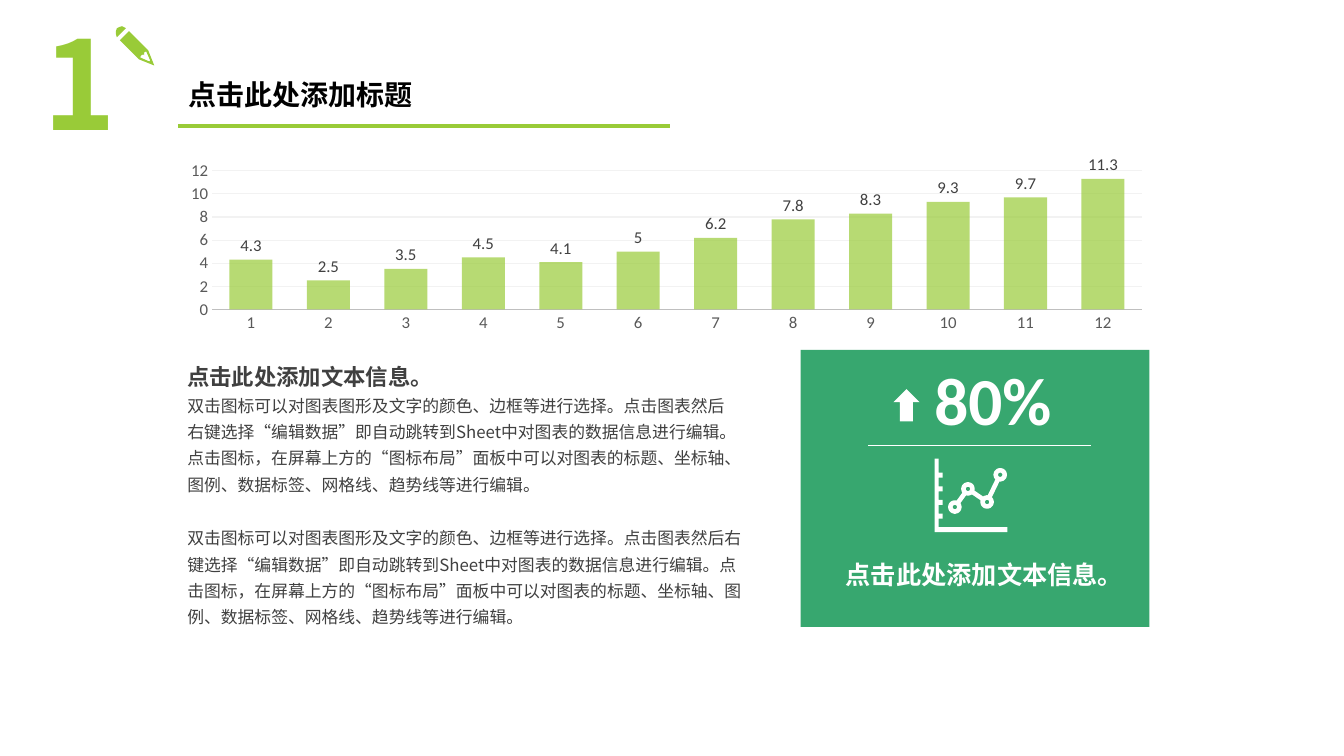
import pptx
import pptx.chart.data
import pptx.dml.color
import pptx.enum.chart
import pptx.enum.shapes
import pptx.enum.text
import pptx.oxml
import pptx.oxml.ns
import pptx.util
from pptx.util import Inches

RGBColor = pptx.dml.color.RGBColor
LIME = RGBColor(0x99, 0xCB, 0x38)
GREEN = RGBColor(0x37, 0xA7, 0x6F)
WHITE = RGBColor(0xFF, 0xFF, 0xFF)
BLACK = RGBColor(0, 0, 0)
TEXT_GREY = RGBColor(0x40, 0x40, 0x40)
AXIS_GREY = RGBColor(0x59, 0x59, 0x59)
AXIS_LINE = RGBColor(0xBF, 0xBF, 0xBF)
GRID_GREY = RGBColor(0xF2, 0xF2, 0xF2)
CJK = "Noto Sans CJK SC"
LATIN = "Calibri"
SHAPES = pptx.enum.shapes.MSO_SHAPE
MIDDLE = pptx.enum.text.MSO_ANCHOR.MIDDLE
BODY = ("双击图标可以对图表图形及文字的颜色、边框等进行选择。点击图表然后右键选择“编辑数据”"
        "即自动跳转到Sheet中对图表的数据信息进行编辑。点击图标，在屏幕上方的“图标布局”面板中"
        "可以对图表的标题、坐标轴、图例、数据标签、网格线、趋势线等进行编辑。")

deck = pptx.Presentation()
deck.slide_width, deck.slide_height = Inches(13.33), Inches(7.5)
page = deck.slides.add_slide(deck.slide_layouts[5])


def write(box, place, lines, font_name=CJK, wrap=True, anchor=None):
    """Place a box and fill it with (text, size, bold, colour, line spacing) lines."""
    box.left, box.top, box.width, box.height = map(Inches, place)
    frame = box.text_frame
    frame.word_wrap = wrap
    frame.vertical_anchor = anchor or pptx.enum.text.MSO_ANCHOR.TOP
    for index, (text, size, bold, colour, spacing) in enumerate(lines):
        para = frame.add_paragraph() if index else frame.paragraphs[0]
        para.text = text
        para.alignment = pptx.enum.text.PP_ALIGN.LEFT
        para.line_spacing = spacing
        for font in [para.font] + [span.font for span in para.runs]:
            font.name = font_name
        para.font.size, para.font.bold = pptx.util.Pt(size), bold
        para.font.color.rgb = colour
        for span in para.runs:
            east_asian = pptx.oxml.parse_xml(
                f'<a:ea {pptx.oxml.ns.nsdecls("a")} typeface="{font_name}"/>')
            span.font._element.append(east_asian)


def draw_line(start, end, colour, width):
    line = page.shapes.add_connector(
        pptx.enum.shapes.MSO_CONNECTOR.STRAIGHT, *map(Inches, start + end))
    line.line.color.rgb, line.line.width = colour, pptx.util.Pt(width)
    line._element.spPr.append(
        pptx.oxml.parse_xml(f'<a:effectLst {pptx.oxml.ns.nsdecls("a")}/>'))


# Heading with number and rule
draw_line((1.77, 1.25), (6.65, 1.25), LIME, 2.25)
write(page.shapes.title, (1.77, 0.67, 4.88, 0.58),
      [("点击此处添加标题", 20, True, BLACK, 0.9)], anchor=MIDDLE)
write(page.shapes.add_textbox(0, 0, 0, 0), (0.33, 0.26, 0.97, 1.27),
      [("1", 88, True, LIME, 0.9)], anchor=MIDDLE)

# Pencil and the axes of the trend icon
pencil_end = [(1.16, 0.37), (1.15, 0.34), (1.15, 0.31), (1.16, 0.28),
              (1.18, 0.27), (1.21, 0.26), (1.23, 0.27), (1.25, 0.28)]
pencil_body = [(1.38, 0.59), (1.53, 0.65), (1.47, 0.5), (1.28, 0.31), (1.19, 0.4)]
pencil_tip = [(1.4, 0.55), (1.42, 0.54), (1.43, 0.55), (1.43, 0.52), (1.45, 0.51),
              (1.49, 0.6), (1.48, 0.61), (1.39, 0.57)]
axes = [(9.31, 5.23), (9.99, 5.23), (9.99, 5.28), (9.27, 5.28), (9.27, 4.55), (9.31, 4.55)]
for tick in range(4):
    top = 4.69 + tick * 0.135
    axes += [(9.31, top), (9.35, top), (9.35, top + 0.05), (9.31, top + 0.05)]

# Green panel, arrow and divider
for kind, place, colour, turn in [
        (SHAPES.RECTANGLE, (7.94, 3.47, 3.46, 2.75), GREEN, 0),
        (SHAPES.DOWN_ARROW, (8.86, 3.86, 0.26, 0.32), WHITE, 180)]:
    shape = page.shapes.add_shape(kind, *map(Inches, place))
    shape.fill.solid()
    shape.fill.fore_color.rgb = colour
    shape.line.fill.background()
    shape.shadow.inherit = False
    shape.rotation = turn
draw_line((8.61, 4.42), (10.82, 4.42), WHITE, 1.25)

for contours, colour in [([pencil_end], LIME), ([pencil_body, pencil_tip], LIME),
                         ([axes], WHITE)]:
    builder = None
    for contour in contours:
        points = [(Inches(x), Inches(y)) for x, y in contour]
        if builder is None:
            builder = page.shapes.build_freeform(*points[0])
        else:
            builder.move_to(*points[0])
        builder.add_line_segments(points[1:], close=True)
    outline = builder.convert_to_shape()
    outline.fill.solid()
    outline.fill.fore_color.rgb = colour
    outline.line.fill.background()
    outline.shadow.inherit = False

# Trend line with ring markers
nodes = [(9.47, 5.03), (9.6, 4.85), (9.79, 4.98), (9.92, 4.71)]
for start, end in zip(nodes, nodes[1:]):
    draw_line(start, end, WHITE, 3.25)
for x, y in nodes:
    ring = page.shapes.add_shape(
        SHAPES.OVAL, Inches(x - 0.045), Inches(y - 0.045), Inches(0.09), Inches(0.09))
    ring.fill.solid()
    ring.fill.fore_color.rgb = GREEN
    ring.line.color.rgb, ring.line.width = WHITE, pptx.util.Pt(3.25)
    ring.shadow.inherit = False

# Text blocks
for place, lines, font_name, wrap in [
        ((1.76, 3.47, 5.56, 1.5), [("点击此处添加文本信息。", 16, True, TEXT_GREY, 1.3),
                                   (BODY, 12, False, TEXT_GREY, 1.3)], CJK, True),
        ((1.76, 5.13, 5.72, 1.15), [(BODY, 12, False, TEXT_GREY, 1.3)], CJK, True),
        ((9.17, 3.51, 1.74, 0.91), [("80%", 48, True, WHITE, 1.0)], LATIN, True),
        ((8.29, 5.41, 2.98, 0.46),
         [("点击此处添加文本信息。", 18, True, WHITE, 1.3)], CJK, False)]:
    write(page.shapes.add_textbox(0, 0, 0, 0), place, lines, font_name, wrap)

# Column chart
chart_data = pptx.chart.data.CategoryChartData()
chart_data.categories = [str(number) for number in range(1, 13)]
chart_data.add_series(
    "Series 1", (4.3, 2.5, 3.5, 4.5, 4.1, 5, 6.2, 7.8, 8.3, 9.3, 9.7, 11.3))
chart = page.shapes.add_chart(
    pptx.enum.chart.XL_CHART_TYPE.COLUMN_CLUSTERED,
    Inches(1.7), Inches(1.54), Inches(9.82), Inches(1.8), chart_data).chart
chart.has_legend = chart.has_title = False
chart.font.name, chart.font.size = LATIN, pptx.util.Pt(10)
chart.font.color.rgb = BLACK

plot = chart.plots[0]
plot.gap_width, plot.overlap, plot.vary_by_categories = 80, 25, False
columns = plot.series[0]
columns.format.fill.solid()
columns.format.fill.fore_color.rgb = LIME
colour_node = columns._element.find(".//" + pptx.oxml.ns.qn("a:srgbClr"))
colour_node.append(pptx.oxml.parse_xml(
    f'<a:alpha {pptx.oxml.ns.nsdecls("a")} val="70000"/>'))
labels = columns.data_labels
labels.show_value = True
labels.position = pptx.enum.chart.XL_LABEL_POSITION.OUTSIDE_END

values = chart.value_axis
values.minimum_scale, values.maximum_scale, values.major_unit = 0, 12, 2
values.format.line.fill.background()
values.major_gridlines.format.line.color.rgb = GRID_GREY
values.major_gridlines.format.line.width = pptx.util.Pt(0.75)
chart.category_axis.format.line.color.rgb = AXIS_LINE
chart.category_axis.format.line.width = pptx.util.Pt(1.25)
for axis in (values, chart.category_axis):
    axis.major_tick_mark = pptx.enum.chart.XL_TICK_MARK.NONE
for font, colour in [(labels.font, TEXT_GREY), (values.tick_labels.font, AXIS_GREY),
                     (chart.category_axis.tick_labels.font, AXIS_GREY)]:
    font.name, font.size, font.color.rgb = LATIN, pptx.util.Pt(12), colour

deck.save("out.pptx")
